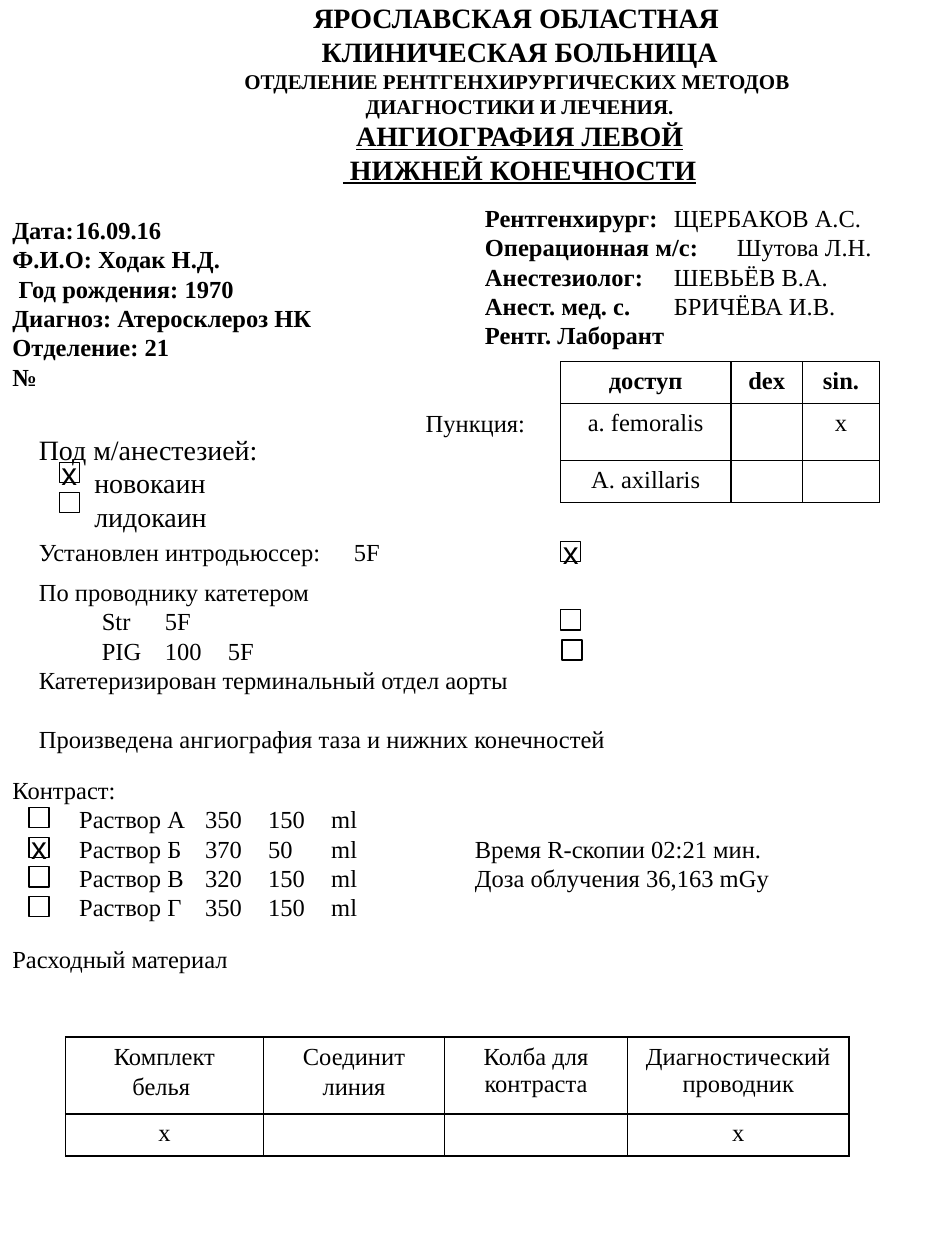
from dataclasses import dataclass

from lxml import etree
from pptx import Presentation, util as u
from pptx.dml.color import RGBColor
from pptx.enum import shapes, text
from pptx.oxml.ns import qn


@dataclass(frozen=True)
class Theme:
    ink: RGBColor = RGBColor(0, 0, 0)
    serif: str = "Times New Roman"
    sans: str = "Arial"
    body: int = 14
    heading: int = 16
    small: int = 12
    mark: int = 18
    outline: float = 0.75
    rule: float = 1


@dataclass(frozen=True)
class Line:
    text: str
    size: int = 14
    bold: bool = False
    underline: bool = False
    value: str = ""
    indent: float = 0
    tabs: tuple[float, ...] = ()
    before: float = 0


@dataclass(frozen=True)
class Block:
    box: tuple[float, float, float, float]
    lines: tuple[Line, ...]
    centred: bool = False
    middle: bool = False
    wrap: bool = True
    top: float = 0.05


@dataclass(frozen=True)
class Checkbox:
    left: float
    top: float
    checked: bool = False


@dataclass(frozen=True)
class Grid:
    left: float
    top: float
    columns: tuple[float, ...]
    rows: tuple[float, ...]
    cells: tuple[tuple[str, ...], ...]
    outer: float
    bold_header: bool = False


THEME = Theme()
STAFF_TAB = (1.83,)
DOSE_TABS = (1.52, 2.11, 2.65)

BLOCKS = (
    Block((0.75, 0, 6.75, 1.48), (
        Line("ЯРОСЛАВСКАЯ ОБЛАСТНАЯ ", THEME.heading, True),
        Line("КЛИНИЧЕСКАЯ БОЛЬНИЦА", THEME.heading, True),
        Line("ОТДЕЛЕНИЕ РЕНТГЕНХИРУРГИЧЕСКИХ МЕТОДОВ ", THEME.small, True),
        Line("ДИАГНОСТИКИ И ЛЕЧЕНИЯ.", THEME.small, True),
        Line("АНГИОГРАФИЯ ЛЕВОЙ", THEME.heading, True, True),
        Line(" НИЖНЕЙ КОНЕЧНОСТИ", THEME.heading, True, True),
    ), centred=True, middle=True),
    Block((0, 0.83, 3.31, 3.15), (
        Line("Дата:\t16.09.16", bold=True, tabs=(0.68,)),
        Line("Ф.И.О: Ходак Н.Д.", bold=True),
        Line("Год рождения: 1970", bold=True, indent=0.05),
        Line("Диагноз: Атеросклероз НК", bold=True),
        Line("Отделение: 21", bold=True),
        Line("№", bold=True),
    ), middle=True),
    Block((3.75, 1.56, 3.75, 1.28), (
        Line("Рентгенхирург:", bold=True, value="ЩЕРБАКОВ А.С.", tabs=STAFF_TAB),
        Line("Операционная м/с:", bold=True, value="Шутова Л.Н.", tabs=STAFF_TAB),
        Line("Анестезиолог:", bold=True, value="ШЕВЬЁВ В.А.", tabs=STAFF_TAB),
        Line("Анест. мед. с.", bold=True, value="БРИЧЁВА И.В.", tabs=STAFF_TAB),
        Line("Рентг. Лаборант", bold=True),
    )),
    Block((0.21, 3.19, 3.42, 1.81), (
        Line("Под м/анестезией:", THEME.heading),
        Line("новокаин", THEME.heading, indent=0.44),
        Line("лидокаин", THEME.heading, indent=0.44),
    ), top=0.24),
    Block((3.28, 3.19, 0.99, 0.33), (Line("Пункция:"),), wrap=False),
    Block((0.21, 4.21, 6.32, 0.33), (Line("Установлен интродьюссер:\t5F", tabs=(3.55,)),)),
    Block((0.21, 4.53, 7.29, 1.51), (
        Line("По проводнику катетером"),
        Line("\tStr\t5F", tabs=(1.85, 3.58)),
        Line("\tPIG\t100\t5F", tabs=(1.85, 2.26, 3.63)),
        Line("Катетеризирован терминальный отдел аорты"),
        Line("Произведена ангиография таза и нижних конечностей", before=16.8),
    )),
    Block((0, 6.1, 3.72, 1.28), (
        Line("Контраст:"),
        Line("Раствор А\t350\t150\tml", indent=0.53, tabs=DOSE_TABS),
        Line("Раствор Б\t370\t50\tml", indent=0.53, tabs=(1.52, 2.11, 2.54)),
        Line("Раствор В\t320\t150\tml", indent=0.53, tabs=DOSE_TABS),
        Line("Раствор Г\t350\t150\tml", indent=0.53, tabs=DOSE_TABS),
    )),
    Block((3.67, 6.57, 3.12, 0.57), (
        Line("Время R-скопии 02:21 мин."),
        Line("Доза облучения 36,163 mGy"),
    )),
    Block((0, 7.44, 6.93, 0.57), (Line("Расходный материал"),)),
)

CHECKBOXES = (
    Checkbox(0.47, 3.67, True), Checkbox(0.47, 3.91),
    Checkbox(4.45, 4.3, True), Checkbox(4.45, 4.84), Checkbox(4.46, 5.08),
    *(Checkbox(0.23, 6.41 + 0.235 * row, row == 1) for row in range(4)),
)

GRIDS = (
    Grid(4.45, 2.87, (1.35, 0.57, 0.61), (0.33, 0.45, 0.33), (
        ("доступ", "dex", "sin."),
        ("a. femoralis", "", "х"),
        ("А. axillaris", "", ""),
    ), THEME.outline, True),
    Grid(0.52, 8.23, (1.57, 1.44, 1.45, 1.76), (0.61, 0.33), (
        ("Комплект\nбелья ", "Соединит\nлиния", "Колба для контраста", "Диагностический проводник"),
        ("х", "", "", "х"),
    ), THEME.rule),
)


def style(font, size: int, name: str = THEME.serif, bold: bool = False, underline: bool = False) -> None:
    font.name, font.size, font.bold = name, u.Pt(size), bold
    font.underline = underline
    font.color.rgb = THEME.ink


def write_line(paragraph, line: Line, centred: bool) -> None:
    paragraph.text = line.text
    properties = paragraph._p.get_or_add_pPr()
    properties.set("marL", str(u.Inches(line.indent)))
    properties.set("indent", "0")
    if line.tabs:
        tab_list = etree.SubElement(properties, qn("a:tabLst"))
        for position in line.tabs:
            etree.SubElement(tab_list, qn("a:tab"), pos=str(u.Inches(position)), algn="l")
    if line.before:
        paragraph.space_before = u.Pt(line.before)
    paragraph.alignment = text.PP_ALIGN.CENTER if centred else text.PP_ALIGN.LEFT
    for run in paragraph.runs:
        style(run.font, line.size, bold=line.bold, underline=line.underline)
    if line.value:
        run = paragraph.add_run()
        run.text = "\t" + line.value
        style(run.font, line.size)


def draw_block(slide, block: Block) -> None:
    frame = slide.shapes.add_textbox(*map(u.Inches, block.box)).text_frame
    frame.word_wrap = block.wrap
    frame.margin_top = u.Inches(block.top)
    frame.vertical_anchor = text.MSO_ANCHOR.MIDDLE if block.middle else text.MSO_ANCHOR.TOP
    for index, line in enumerate(block.lines):
        paragraph = frame.add_paragraph() if index else frame.paragraphs[0]
        write_line(paragraph, line, block.centred)


def draw_checkbox(slide, checkbox: Checkbox) -> None:
    side = u.Inches(0.16)
    shape = slide.shapes.add_shape(
        shapes.MSO_SHAPE.RECTANGLE, u.Inches(checkbox.left), u.Inches(checkbox.top), side, side)
    shape.shadow.inherit = False
    shape.fill.background()
    shape.line.color.rgb = THEME.ink
    shape.line.width = u.Pt(THEME.outline)
    if checkbox.checked:
        frame = shape.text_frame
        frame.text = "х"
        frame.word_wrap = False
        frame.vertical_anchor = text.MSO_ANCHOR.MIDDLE
        frame.paragraphs[0].alignment = text.PP_ALIGN.CENTER
        style(frame.paragraphs[0].runs[0].font, THEME.mark, THEME.sans)


def draw_border(cell, side: str, width: float) -> None:
    border = etree.SubElement(cell._tc.get_or_add_tcPr(), qn(f"a:ln{side}"), w=str(u.Pt(width)))
    fill = etree.SubElement(border, qn("a:solidFill"))
    etree.SubElement(fill, qn("a:srgbClr"), val=str(THEME.ink))


def draw_grid(slide, grid: Grid) -> None:
    rows, columns = len(grid.rows), len(grid.columns)
    table = slide.shapes.add_table(
        rows, columns, u.Inches(grid.left), u.Inches(grid.top),
        u.Inches(sum(grid.columns)), u.Inches(sum(grid.rows))).table
    table.first_row = table.horz_banding = False
    for column, width in zip(table.columns, grid.columns):
        column.width = u.Inches(width)
    for r, (row, height) in enumerate(zip(table.rows, grid.rows)):
        row.height = u.Inches(height)
        for c, cell in enumerate(row.cells):
            edges = {"L": c == 0, "R": c == columns - 1, "T": r == 0, "B": r == rows - 1}
            for side, is_outer in edges.items():
                draw_border(cell, side, grid.outer if is_outer else THEME.rule)
            cell.fill.background()
            cell.text_frame.text = grid.cells[r][c]
            for index, paragraph in enumerate(cell.text_frame.paragraphs):
                paragraph.alignment = text.PP_ALIGN.CENTER
                if index:
                    paragraph.space_before = u.Pt(2)
                for run in paragraph.runs:
                    style(run.font, THEME.body, bold=grid.bold_header and r == 0)
                if not paragraph.runs:
                    etree.SubElement(paragraph._p, qn("a:endParaRPr"), sz=str(THEME.body * 100))


def main() -> None:
    """Build the angiography report form and save it."""
    presentation = Presentation()
    presentation.slide_width, presentation.slide_height = u.Inches(7.5), u.Inches(10)
    slide = presentation.slides.add_slide(presentation.slide_layouts[6])
    for items, draw in ((BLOCKS, draw_block), (GRIDS, draw_grid), (CHECKBOXES, draw_checkbox)):
        for item in items:
            draw(slide, item)
    presentation.save("out.pptx")


if __name__ == "__main__":
    main()
